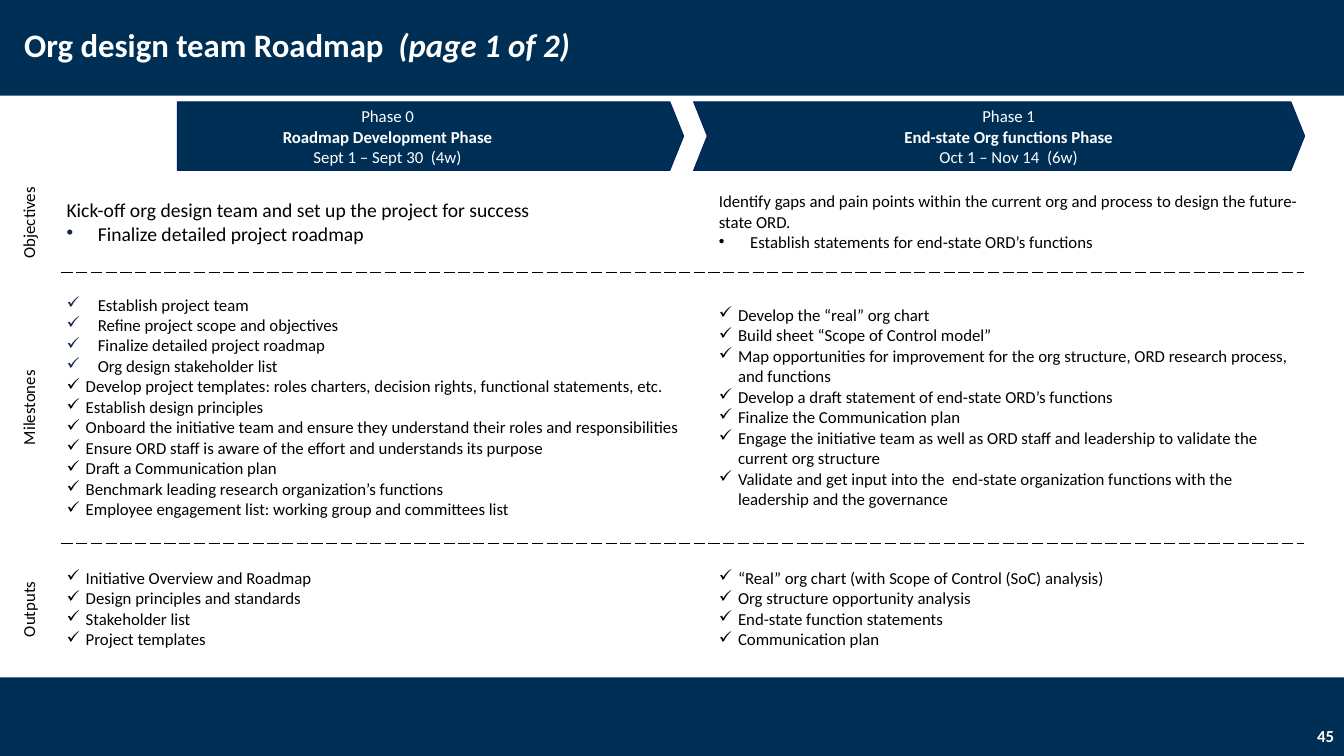
from dataclasses import dataclass

import lxml.etree
import pptx
import pptx.dml.color
import pptx.enum.shapes
import pptx.enum.text
import pptx.oxml.ns
import pptx.util

Color = pptx.dml.color.RGBColor
Shape = pptx.enum.shapes.MSO_SHAPE
Align = pptx.enum.text.PP_ALIGN
Anchor = pptx.enum.text.MSO_ANCHOR
qn = pptx.oxml.ns.qn

NAVY = Color(0x00, 0x2F, 0x56)
EDGE = Color(0x00, 0x20, 0x60)
MARK = Color(0x12, 0x26, 0x4A)
WHITE = Color(0xFF, 0xFF, 0xFF)
BLACK = Color(0x00, 0x00, 0x00)
FONT = "Calibri"
PLAIN = "{2D5ABB26-0587-4C30-8999-92F81FD0307C}"  # table style without grid
SCALE = 9144  # 100 px to the inch


@dataclass
class Box:
    left: int
    top: int
    width: int
    height: int

    def emu(self) -> list[int]:
        return [px(n) for n in (self.left, self.top, self.width, self.height)]


@dataclass
class Block:
    """Lines of text that share one bullet style."""
    lines: list[str]
    bullet: str = ""
    indent: int = 0
    ink: Color = BLACK
    size: float = 12


@dataclass
class Row:
    name: str
    height: int
    cells: list[list[Block]]


def px(n: int) -> int:
    return n * SCALE


def checks(*lines: str) -> Block:
    return Block(list(lines), "✓", 19)


HEADS = [
    ["Phase 0", "Roadmap Development Phase", "Sept 1 – Sept 30  (4w)"],
    ["Phase 1", "End-state Org functions Phase", "Oct 1 – Nov 14  (6w)"],
]
ROWS = [
    Row("Objectives", 98, [
        [Block(["Kick-off org design team and set up the project for success"], size=14),
         Block(["Finalize detailed project roadmap"], "•", 31, MARK, 14)],
        [Block(["Identify gaps and pain points within the current org and process "
                "to design the future-state ORD."]),
         Block(["Establish statements for end-state ORD’s functions"], "•", 31)],
    ]),
    Row("Milestones", 269, [
        [Block(["Establish project team",
                "Refine project scope and objectives",
                "Finalize detailed project roadmap",
                "Org design stakeholder list"], "✓", 31, MARK),
         checks("Develop project templates: roles charters, decision rights, "
                "functional statements, etc.",
                "Establish design principles",
                "Onboard the initiative team and ensure they understand their "
                "roles and responsibilities",
                "Ensure ORD staff is aware of the effort and understands its purpose",
                "Draft a Communication plan",
                "Benchmark leading research organization’s functions",
                "Employee engagement list: working group and committees list")],
        [checks("Develop the “real” org chart",
                "Build sheet “Scope of Control model”",
                "Map opportunities for improvement for the org structure, ORD "
                "research process, and functions",
                "Develop a draft statement of end-state ORD’s functions",
                "Finalize the Communication plan",
                "Engage the initiative team as well as ORD staff and leadership "
                "to validate the current org structure",
                "Validate and get input into the  end-state organization functions "
                "with the leadership and the governance")],
    ]),
    Row("Outputs", 131, [
        [checks("Initiative Overview and Roadmap",
                "Design principles and standards",
                "Stakeholder list",
                "Project templates")],
        [checks("“Real” org chart (with Scope of Control (SoC) analysis)",
                "Org structure opportunity analysis",
                "End-state function statements",
                "Communication plan")],
    ]),
]


def write(para, text: str, *, size: float = 12, color: Color = BLACK,
          bold: bool = False, italic: bool = False, align=Align.LEFT) -> None:
    para.alignment = align
    run = para.add_run()
    run.text = text
    font = run.font
    font.name, font.size, font.color.rgb = FONT, pptx.util.Pt(size), color
    font.bold, font.italic = bold, italic


def next_para(frame):
    first = frame.paragraphs[0]
    return frame.add_paragraph() if first.runs else first


def add_bullet(para, block: Block) -> None:
    props = para._p.get_or_add_pPr()
    props.set("marL", str(px(block.indent)))
    props.set("indent", str(-px(block.indent)))
    tint = lxml.etree.SubElement(props, qn("a:buClr"))
    lxml.etree.SubElement(tint, qn("a:srgbClr"), val=str(block.ink))
    lxml.etree.SubElement(props, qn("a:buChar"), char=block.bullet)


def add_dash(cell, side: str) -> None:
    line = lxml.etree.SubElement(cell._tc.get_or_add_tcPr(), qn(side), w="9525")
    fill = lxml.etree.SubElement(line, qn("a:solidFill"))
    lxml.etree.SubElement(fill, qn("a:srgbClr"), val=str(BLACK))
    lxml.etree.SubElement(line, qn("a:prstDash"), val="lgDash")


def add_block(slide, kind, box: Box, edge: bool = False):
    shape = slide.shapes.add_shape(kind, *box.emu())
    shape.shadow.inherit = False
    shape.fill.solid()
    shape.fill.fore_color.rgb = NAVY
    if edge:
        shape.adjustments[0] = 0.2
        shape.line.color.rgb = EDGE
        shape.line.width = pptx.util.Pt(0.75)
    else:
        shape.line.fill.background()
    return shape


def add_plan(slide) -> None:
    box = Box(14, 101, 1279, 568)
    table = slide.shapes.add_table(len(ROWS) + 1, 3, *box.emu()).table
    table.first_row = table.horz_banding = False
    table._tbl.tblPr.find(qn("a:tableStyleId")).text = PLAIN
    for col, width in zip(table.columns, (47, 647, 585)):
        col.width = px(width)
    for row, height in zip(table.rows, [65] + [r.height for r in ROWS]):
        row.height = px(height)
    for cell in table.iter_cells():
        cell.vertical_anchor = Anchor.MIDDLE
        cell.margin_left = cell.margin_right = px(5)
        cell.margin_top = cell.margin_bottom = px(5)

    # Phase names over the arrows
    for c, lines in enumerate(HEADS, 1):
        for i, text in enumerate(lines):
            write(next_para(table.cell(0, c).text_frame), text,
                  color=WHITE, bold=i == 1, align=Align.CENTER)
    for c in range(3):
        table.cell(0, c).fill.background()

    # Row names and contents
    for r, row in enumerate(ROWS, 1):
        name = table.cell(r, 0)
        name._tc.get_or_add_tcPr().set("vert", "vert270")
        write(name.text_frame.paragraphs[0], row.name, align=Align.CENTER)
        for c, blocks in enumerate(row.cells, 1):
            cell = table.cell(r, c)
            if r > 1:
                add_dash(cell, "a:lnT")
            if r < len(ROWS):
                add_dash(cell, "a:lnB")
            for block in blocks:
                for text in block.lines:
                    para = next_para(cell.text_frame)
                    if block.bullet:
                        add_bullet(para, block)
                    write(para, text, size=block.size)
        for c in range(3):
            fill = table.cell(r, c).fill
            fill.solid()
            fill.fore_color.rgb = WHITE


def main() -> None:
    deck = pptx.Presentation()
    deck.slide_width, deck.slide_height = px(1333), px(750)
    slide = deck.slides.add_slide(deck.slide_layouts[5])
    title = slide.shapes.title

    # Bands and phase arrows
    band = add_block(slide, Shape.RECTANGLE, Box(0, 0, 1333, 95))
    add_block(slide, Shape.RECTANGLE, Box(0, 672, 1333, 78))
    add_block(slide, Shape.CHEVRON, Box(688, 101, 606, 68), edge=True)
    add_block(slide, Shape.PENTAGON, Box(176, 101, 502, 68), edge=True)
    add_plan(slide)

    # Title, in front of its band
    band._element.addnext(title._element)
    title.left, title.top, title.width, title.height = Box(14, 4, 759, 84).emu()
    frame = title.text_frame
    frame.auto_size = pptx.enum.text.MSO_AUTO_SIZE.NONE
    frame.vertical_anchor = Anchor.MIDDLE
    para = frame.paragraphs[0]
    para.line_spacing = 0.9
    write(para, "Org design team Roadmap  ", size=23.4, color=WHITE, bold=True)
    write(para, "(page 1 of 2)", size=23.4, color=WHITE, bold=True, italic=True)

    # Page number
    frame = slide.shapes.add_textbox(*Box(1033, 710, 300, 40).emu()).text_frame
    frame.word_wrap = True
    frame.vertical_anchor = Anchor.MIDDLE
    write(frame.paragraphs[0], "45", color=WHITE, bold=True, align=Align.RIGHT)

    deck.save("out.pptx")


if __name__ == "__main__":
    main()
